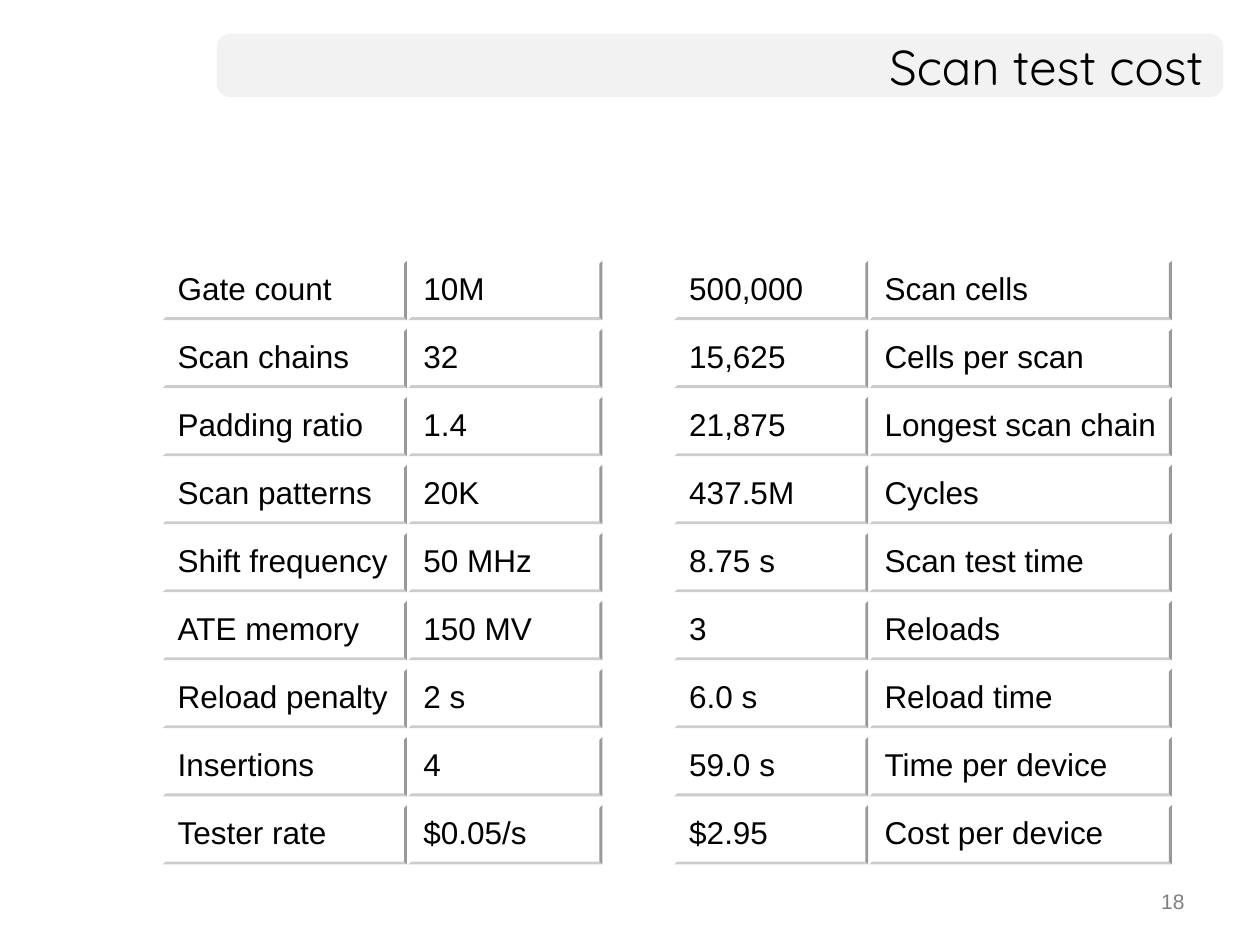
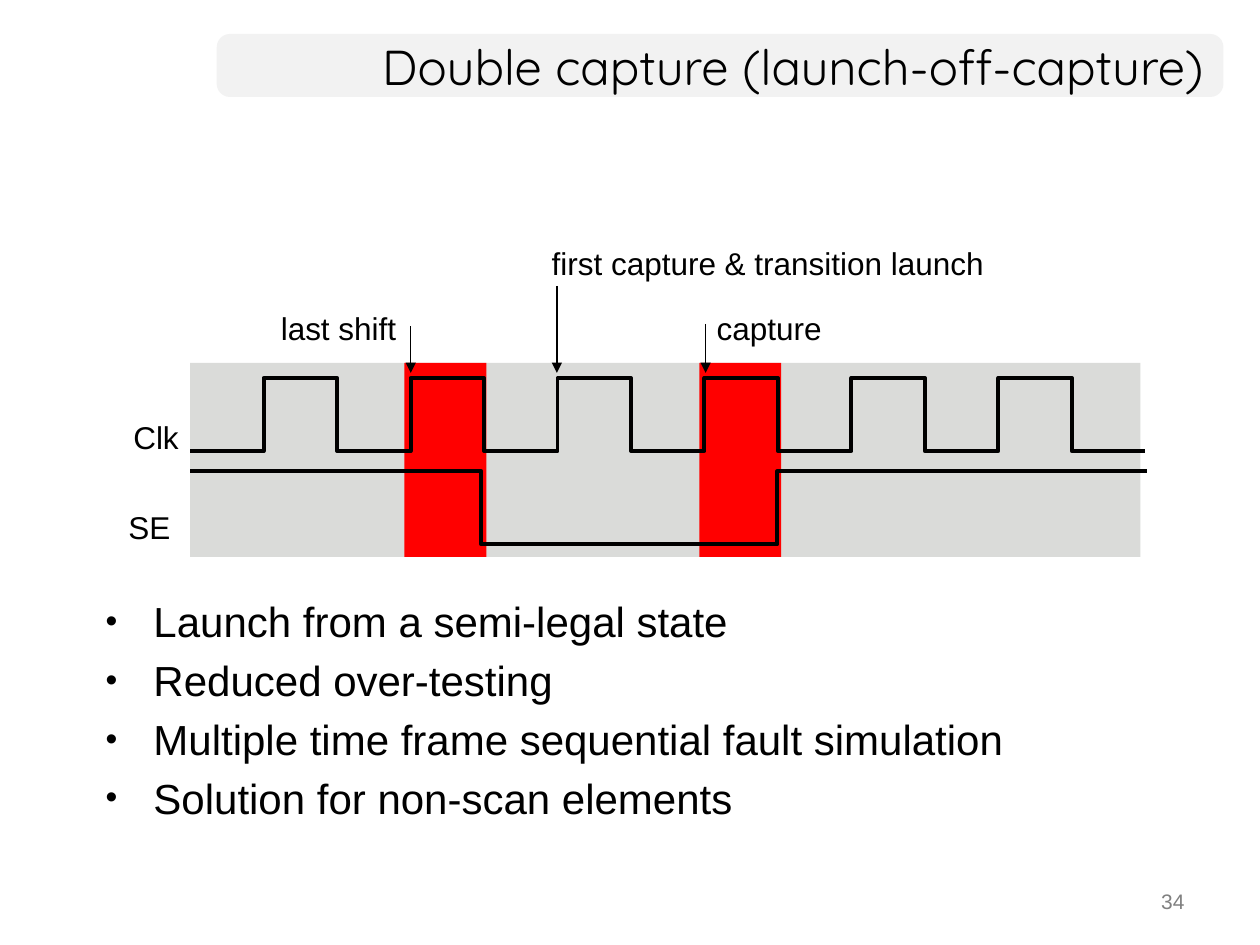
"""Build two slides on scan testing: a cost table of bevelled cells and a clock diagram."""
import pptx
import pptx.util
import pptx.dml.color
import pptx.enum.shapes
import pptx.enum.text
import pptx.oxml
import pptx.oxml.ns
from lxml import etree

COLORS = {"text": "000000", "band": "F2F2F2", "number": "808080",
          "cell": "FFFFFF", "panel": "DADBD9", "capture": "FF0000"}
SHAPES = pptx.enum.shapes.MSO_SHAPE
ALIGN = pptx.enum.text.PP_ALIGN
MIDDLE = pptx.enum.text.MSO_ANCHOR.MIDDLE
Inches = pptx.util.Inches
Pt = pptx.util.Pt


def add_block(slide, kind, box, color):
    """Add a borderless filled preset shape; box is left, top, width, height in inches."""
    shape = slide.shapes.add_shape(kind, *map(Inches, box))
    shape.shadow.inherit = False
    shape.fill.solid()
    shape.fill.fore_color.rgb = pptx.dml.color.RGBColor.from_string(COLORS[color])
    shape.line.fill.background()
    return shape


def write(shape, text, size=18, font="Arial", color="text", align=ALIGN.LEFT, wrap=False):
    """Fill a shape with one formatted, vertically centred paragraph."""
    frame = shape.text_frame
    frame.text = text
    frame.word_wrap = wrap
    frame.auto_size = pptx.enum.text.MSO_AUTO_SIZE.NONE
    frame.vertical_anchor = MIDDLE
    paragraph = frame.paragraphs[0]
    paragraph.alignment = align
    paragraph.font.size = Pt(size)
    paragraph.font.name = font
    paragraph.font.color.rgb = pptx.dml.color.RGBColor.from_string(COLORS[color])
    return paragraph


presentation = pptx.Presentation()
presentation.slide_width = Inches(10)
presentation.slide_height = Inches(7.5)

slides = []
for heading, number in [("Scan test cost", "18"), ("Double capture (launch-off-capture)", "34")]:
    slide = presentation.slides.add_slide(presentation.slide_layouts[5])
    title = slide.shapes.title
    title.left, title.top, title.width, title.height = map(Inches, (1.72, 0.27, 7.93, 0.5))
    write(title, heading, 28, "Quicksand", align=ALIGN.RIGHT, wrap=True)
    band = add_block(slide, SHAPES.ROUNDED_RECTANGLE, (1.72, 0.27, 7.99, 0.5), "band")
    band.adjustments[0] = 0.21
    title.element.addprevious(band.element)
    number_box = slide.shapes.add_textbox(*map(Inches, (7.17, 6.98, 2.33, 0.35)))
    write(number_box, number, 12, color="number", align=ALIGN.RIGHT, wrap=True)
    slides.append(slide)
cost_slide, capture_slide = slides

cost_rows = [
    ("Gate count", "10M", "500,000", "Scan cells"),
    ("Scan chains", "32", "15,625", "Cells per scan"),
    ("Padding ratio", "1.4", "21,875", "Longest scan chain"),
    ("Scan patterns", "20K", "437.5M", "Cycles"),
    ("Shift frequency", "50 MHz", "8.75 s", "Scan test time"),
    ("ATE memory", "150 MV", "3", "Reloads"),
    ("Reload penalty", "2 s", "6.0 s", "Reload time"),
    ("Insertions", "4", "59.0 s", "Time per device"),
    ("Tester rate", "$0.05/s", "$2.95", "Cost per device"),
]
cost_columns = [(1.29, 1.94), (3.24, 1.54), (5.35, 1.54), (6.9, 2.4)]
first_row, row_pitch, cell_height = 2.07, 0.54, 0.47
for row, values in enumerate(cost_rows):
    for (left, width), value in zip(cost_columns, values):
        box = (left, first_row + row * row_pitch, width, cell_height)
        cell = add_block(cost_slide, SHAPES.BEVEL, box, "cell")
        cell.adjustments[0] = 0.047
        cell.text_frame.margin_right = 0
        write(cell, value, wrap=True).line_spacing = 0.85

panel_top, panel_height, panel_overlap = 2.88, 1.54, 0.01
panel_edges = [1.51, 3.32, 4.48, 5.63, 9.04]
for left, right in zip(panel_edges, panel_edges[1:]):
    box = (left, panel_top, right - left + panel_overlap, panel_height)
    add_block(capture_slide, SHAPES.RECTANGLE, box, "panel")
for left in (3.21, 5.55):
    add_block(capture_slide, SHAPES.RECTANGLE, (left, panel_top, 0.65, panel_height), "capture")

wave_left, half_period, swing = 1.51, 7.58 / 13, 0.58
clock_high, enable_high = 3, 3.74
clock_points = []
for half in range(13):
    level = clock_high + (swing if half % 2 == 0 else 0)
    clock_points += [(wave_left + step * half_period, level) for step in (half, half + 1)]
enable_low = enable_high + swing
enable_points = [(wave_left, enable_high), (3.82, enable_high), (3.82, enable_low),
                 (6.17, enable_low), (6.17, enable_high), (9.1, enable_high)]
for points in (clock_points, enable_points):
    start, *corners = [(Inches(x), Inches(y)) for x, y in points]
    builder = capture_slide.shapes.build_freeform(*start)
    builder.add_line_segments(corners, close=False)
    wave = builder.convert_to_shape()
    wave.shadow.inherit = False
    wave.fill.background()
    wave.line.color.rgb = pptx.dml.color.RGBColor.from_string(COLORS["text"])
    wave.line.width = Pt(2.25)

signal_labels = [
    ("first capture & transition launch", 4.28, 1.89, 3.67),
    ("capture", 5.59, 2.4, 1.03),
    ("last shift", 2.13, 2.4, 1.12),
    ("Clk", 0.96, 3.27, 0.57),
    ("SE", 0.92, 3.98, 0.54),
]
for label, left, top, width in signal_labels:
    write(capture_slide.shapes.add_textbox(*map(Inches, (left, top, width, 0.4))), label)

for x, start in [(4.42, 2.27), (5.6, 2.57), (3.26, 2.59)]:
    arrow = capture_slide.shapes.add_connector(
        pptx.enum.shapes.MSO_CONNECTOR.STRAIGHT, *map(Inches, (x, start, x, 2.96)))
    arrow.line.color.rgb = pptx.dml.color.RGBColor.from_string(COLORS["text"])
    arrow.line.width = Pt(0.75)
    properties = arrow.element.spPr
    line = properties.find(pptx.oxml.ns.qn("a:ln"))
    etree.SubElement(line, pptx.oxml.ns.qn("a:tailEnd"), type="triangle")
    etree.SubElement(properties, pptx.oxml.ns.qn("a:effectLst"))

points_frame = capture_slide.shapes.add_textbox(*map(Inches, (0.74, 4.68, 9, 1.93))).text_frame
points_frame.word_wrap = True
statements = ["Launch from a semi-legal state", "Reduced over-testing",
              "Multiple time frame sequential fault simulation", "Solution for non-scan elements"]
points_frame.text = "\n".join(statements)
for index, paragraph in enumerate(points_frame.paragraphs):
    paragraph.space_before = Pt(4.8 if index else 0)
    properties = paragraph._p.get_or_add_pPr()
    properties.set("marL", str(Inches(0.38)))
    properties.set("indent", str(-Inches(0.38)))
    etree.SubElement(properties, pptx.oxml.ns.qn("a:buSzPct"), val="80000")
    etree.SubElement(properties, pptx.oxml.ns.qn("a:buFont"), typeface="Arial")
    etree.SubElement(properties, pptx.oxml.ns.qn("a:buChar"), char="•")
    paragraph.font.size = Pt(24)
    paragraph.font.name = "Arial"
    paragraph.font.color.rgb = pptx.dml.color.RGBColor.from_string(COLORS["text"])

presentation.save("out.pptx")
